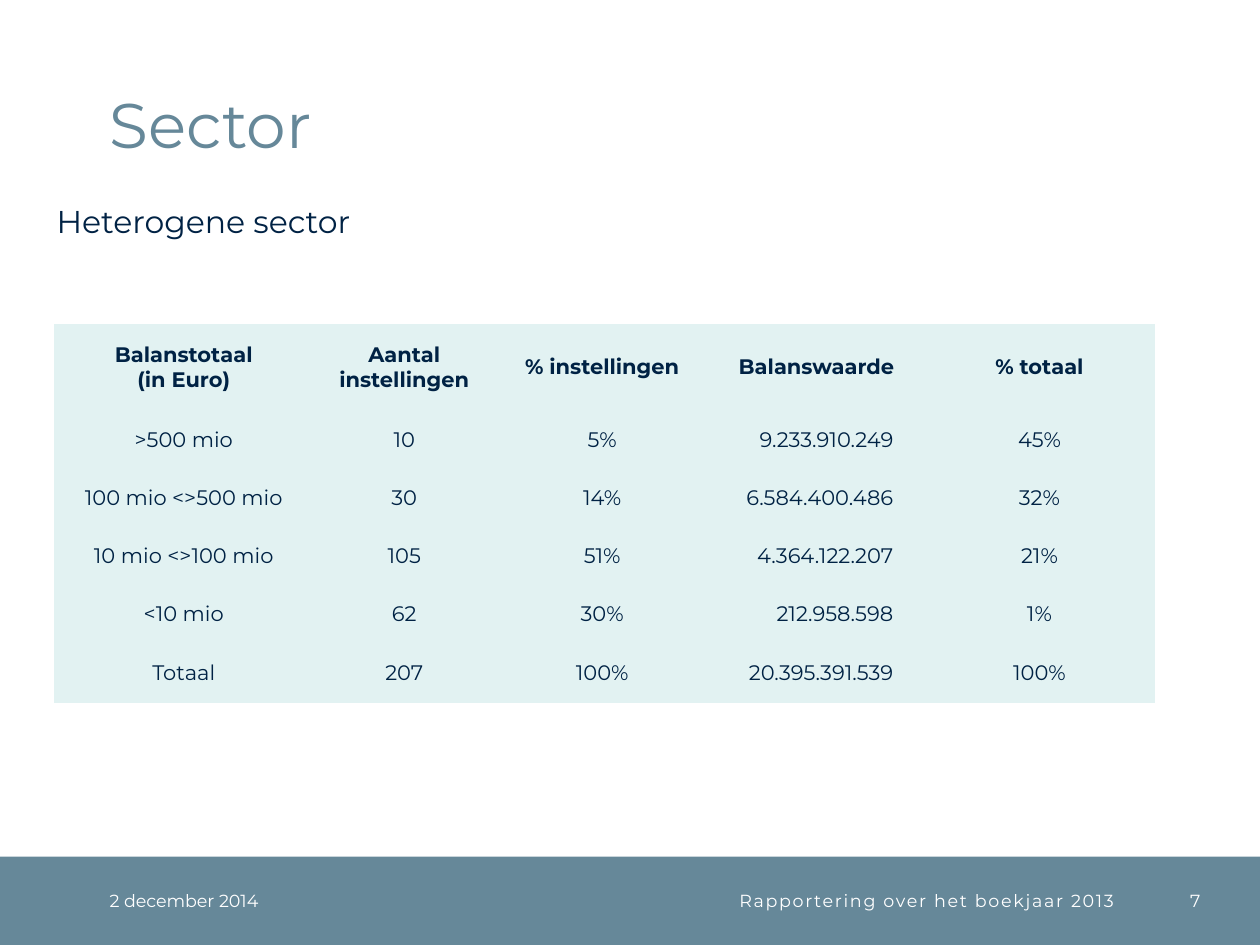
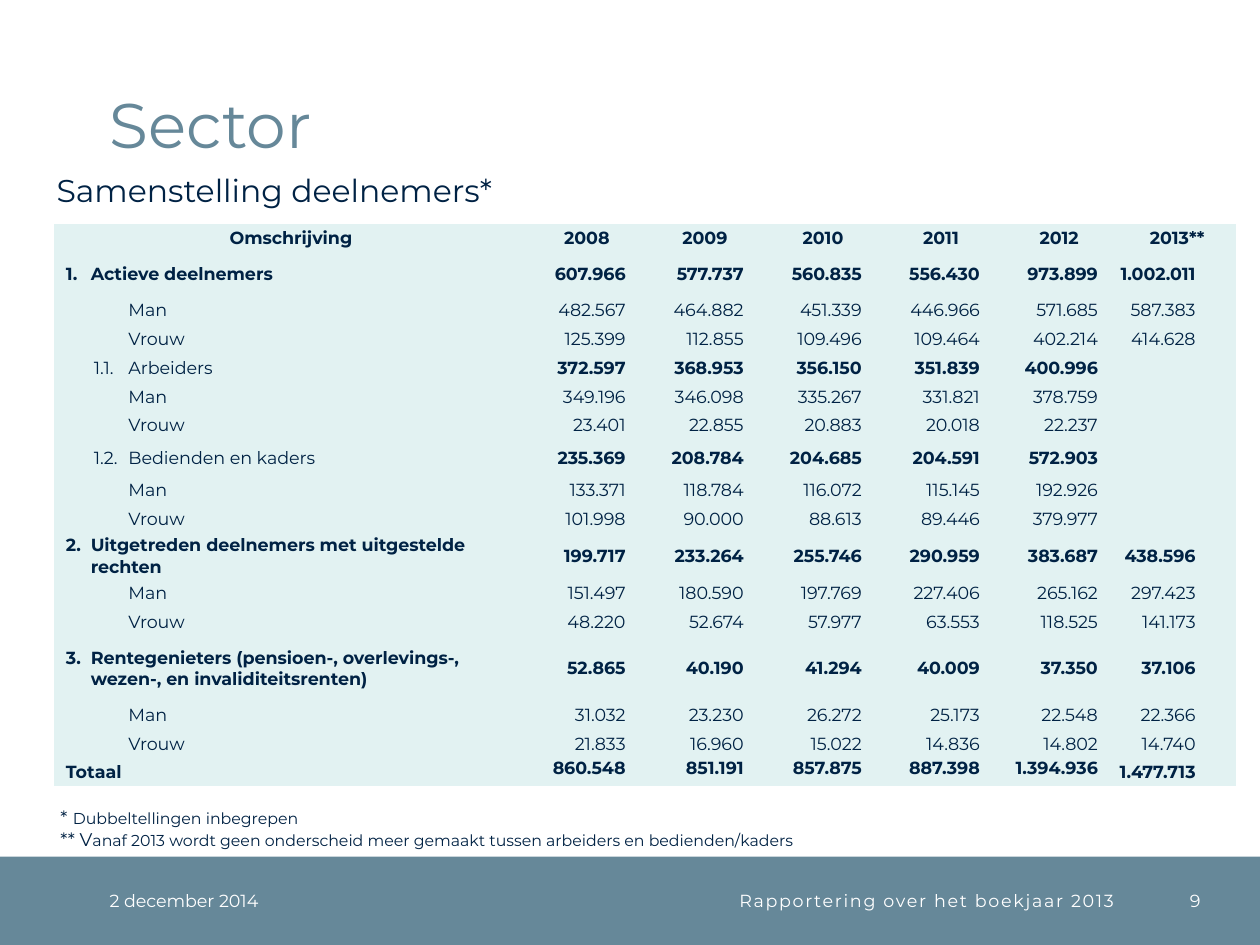
"""Build two sector slides with tables on pension fund figures."""
from dataclasses import dataclass
from typing import NamedTuple

from pptx import Presentation
from pptx.dml.color import RGBColor as Rgb
from pptx.enum.shapes import MSO_SHAPE as Shape
from pptx.enum.text import MSO_ANCHOR as Anchor, PP_ALIGN as Align
from pptx.oxml.ns import qn
from pptx.util import Cm, Pt


@dataclass(frozen=True)
class Theme:
    font: str = "Montserrat"
    slate: Rgb = Rgb(0x66, 0x88, 0x99)
    navy: Rgb = Rgb(0x00, 0x22, 0x44)
    mint: Rgb = Rgb(0xE2, 0xF2, 0xF2)
    white: Rgb = Rgb(0xFF, 0xFF, 0xFF)
    title: float = 36
    head: float = 18
    grid: float = 12
    small: float = 10
    star: float = 10.5
    note: float = 9


THEME = Theme()
NO_STYLE = "{2D5ABB26-0587-4C30-8999-92F81FD0307C}"


class Box(NamedTuple):
    left: float
    top: float
    width: float
    height: float


@dataclass(frozen=True)
class Style:
    size: float
    color: Rgb = THEME.navy
    bold: bool = False
    align: Align = Align.LEFT
    anchor: Anchor = Anchor.MIDDLE
    track: int = 0
    lead: float = 0


@dataclass(frozen=True)
class Cell:
    text: str
    bold: bool = False
    align: Align = Align.CENTER
    right: float = 0
    left: float = 0
    hang: float = 0
    anchor: Anchor = Anchor.MIDDLE


class Row(NamedTuple):
    height: float
    cells: list[Cell]


class Group(NamedTuple):
    label: str
    height: float
    level: int
    total: str
    men: str
    women: str


BAND = Box(0, 17.27, 25.4, 1.78)
DATE = Box(2.21, 17.27, 4.5, 1.78)
FOOT = Box(6.71, 17.27, 15.75, 1.78)
PAGE = Box(22.96, 17.27, 1.24, 1.78)
TITLE = Box(2.21, 0.51, 21.92, 2.74)

SIZES = [
    [">500 mio", "10", "5%", "9.233.910.249", "45%"],
    ["100 mio <>500 mio", "30", "14%", "6.584.400.486", "32%"],
    ["10 mio <>100 mio", "105", "51%", "4.364.122.207", "21%"],
    ["<10 mio", "62", "30%", "212.958.598", "1%"],
    ["Totaal", "207", "100%", "20.395.391.539", "100%"],
]
GROUPS = [
    Group("1.\tActieve deelnemers", 0.89, 1,
          "607.966 577.737 560.835 556.430 973.899 1.002.011",
          "482.567 464.882 451.339 446.966 571.685 587.383",
          "125.399 112.855 109.496 109.464 402.214 414.628"),
    Group("1.1.\tArbeiders", 0.61, 2,
          "372.597 368.953 356.150 351.839 400.996",
          "349.196 346.098 335.267 331.821 378.759",
          "23.401 22.855 20.883 20.018 22.237"),
    Group("1.2.\tBedienden en kaders", 0.74, 2,
          "235.369 208.784 204.685 204.591 572.903",
          "133.371 118.784 116.072 115.145 192.926",
          "101.998 90.000 88.613 89.446 379.977"),
    Group("2.\tUitgetreden deelnemers met uitgestelde rechten", 0.94, 1,
          "199.717 233.264 255.746 290.959 383.687 438.596",
          "151.497 180.590 197.769 227.406 265.162 297.423",
          "48.220 52.674 57.977 63.553 118.525 141.173"),
    Group("3.\tRentegenieters (pensioen-, overlevings-, wezen-, "
          "en invaliditeitsrenten)", 1.32, 1,
          "52.865 40.190 41.294 40.009 37.350 37.106",
          "31.032 23.230 26.272 25.173 22.548 22.366",
          "21.833 16.960 15.022 14.836 14.802 14.740"),
]
TOTAL = "860.548 851.191 857.875 887.398 1.394.936 1.477.713"
YEARS = "2008 2009 2010 2011 2012 2013**"
NOTES = [("*", "\tDubbeltellingen inbegrepen"),
         ("** V", "anaf 2013 wordt geen onderscheid meer gemaakt "
                  "tussen arbeiders en bedienden/kaders")]


def place(box: Box) -> list[Cm]:
    return [Cm(side) for side in box]


def paint(font, size: float, color: Rgb, bold: bool = False) -> None:
    font.name, font.size, font.bold = THEME.font, Pt(size), bold
    font.color.rgb = color


def indent(para, left: float, hang: float) -> None:
    props = para._p.get_or_add_pPr()
    props.set("marL", str(Cm(left)))
    props.set("indent", str(-Cm(hang)))


def frame(slide, box: Box, pad: float = 0, wrap: bool = True):
    text = slide.shapes.add_textbox(*place(box)).text_frame
    text.word_wrap = wrap
    text.margin_left = text.margin_right = Cm(pad)
    text.margin_top = text.margin_bottom = Cm(pad / 2)
    return text


def label(slide, box: Box, words: str, style: Style,
          pad: float = 0, wrap: bool = True) -> None:
    text = frame(slide, box, pad, wrap)
    text.vertical_anchor = style.anchor
    para = text.paragraphs[0]
    para.text, para.alignment = words, style.align
    if style.lead:
        para.line_spacing = Pt(style.lead)
    paint(para.font, style.size, style.color, style.bold)
    if style.track:
        para.runs[0]._r.get_or_add_rPr().set("spc", str(style.track))


def fill_cell(spot, cell: Cell, size: float) -> None:
    spot.fill.solid()
    spot.fill.fore_color.rgb = THEME.mint
    spot.margin_left = spot.margin_top = spot.margin_bottom = 0
    spot.margin_right = Cm(cell.right)
    spot.vertical_anchor = cell.anchor
    spot.text_frame.text = cell.text
    for para in spot.text_frame.paragraphs:
        para.alignment = cell.align
        if cell.left:
            indent(para, cell.left, cell.hang)
        paint(para.font, size, THEME.navy, cell.bold)
        if not cell.text:
            para._p.get_or_add_endParaRPr().set("sz", str(Pt(size).centipoints))


def draw_table(slide, left: float, top: float, widths: list[float],
               rows: list[Row], size: float) -> None:
    box = Box(left, top, sum(widths), sum(row.height for row in rows))
    table = slide.shapes.add_table(len(rows), len(widths), *place(box)).table
    table.first_row = table.horz_banding = False
    table._tbl.tblPr.find(qn("a:tableStyleId")).text = NO_STYLE
    for column, width in zip(table.columns, widths):
        column.width = Cm(width)
    for line, row in zip(table.rows, rows):
        line.height = Cm(row.height)
        for spot, cell in zip(line.cells, row.cells):
            fill_cell(spot, cell, size)


def base(deck, page: int, head: str, top: float):
    slide = deck.slides.add_slide(deck.slide_layouts[6])
    band = slide.shapes.add_shape(Shape.RECTANGLE, *place(BAND))
    band.shadow.inherit = False
    band.fill.solid()
    band.fill.fore_color.rgb = THEME.slate
    band.line.fill.background()
    small, white = THEME.small, THEME.white
    label(slide, DATE, "2 december 2014", Style(small, white))
    label(slide, FOOT, "Rapportering over het boekjaar 2013",
          Style(small, white, align=Align.RIGHT, track=100))
    label(slide, PAGE, str(page), Style(small, white, align=Align.RIGHT))
    label(slide, TITLE, "Sector",
          Style(THEME.title, THEME.slate, anchor=Anchor.BOTTOM, lead=32))
    label(slide, Box(0.89, top, 9.4, 1.02), head,
          Style(THEME.head, anchor=Anchor.TOP), pad=0.25, wrap=False)
    return slide


def size_row(height: float, texts: list[str]) -> Row:
    cells = [Cell(text) for text in texts]
    cells[3] = Cell(texts[3], align=Align.RIGHT, right=0.61)
    return Row(height, cells)


def year_row(first: Cell, figures: str, bold: bool, height: float = 0.57,
             anchor: Anchor = Anchor.MIDDLE) -> Row:
    values = figures.split()
    cells = [Cell(value, bold, Align.RIGHT, 0.41, anchor=anchor)
             for value in values[:5]]
    last = values[5] if len(values) > 5 else ""
    return Row(height, [first, *cells, Cell(last, bold, Align.RIGHT, 0.82)])


def group_rows(group: Group) -> list[Row]:
    main = group.level == 1
    left, hang = (0.74, 0.5) if main else (1.5, 0.7)
    name = Cell(group.label, main, Align.LEFT, left=left, hang=hang)
    rows = [year_row(name, group.total, True, group.height)]
    for sex, figures in (("Man", group.men), ("Vrouw", group.women)):
        part = Cell(sex, align=Align.LEFT, left=1.5)
        rows.append(year_row(part, figures, False))
    return rows


def draw_sizes(deck) -> None:
    slide = base(deck, 7, "Heterogene sector", 3.94)
    heads = ["Balanstotaal\n(in Euro)", "Aantal instellingen",
             "% instellingen", "Balanswaarde", "% totaal"]
    rows = [Row(1.75, [Cell(head, True) for head in heads])]
    rows += [size_row(1.17, texts) for texts in SIZES[:-1]]
    rows.append(size_row(1.22, SIZES[-1]))
    draw_table(slide, 1.09, 6.53, [5.23, 3.66, 4.32, 4.32, 4.67],
               rows, THEME.grid)


def draw_members(deck) -> None:
    slide = base(deck, 9, "Samenstelling deelnemers*", 3.33)
    heads = ["Omschrijving", *YEARS.split()]
    rows = [Row(0.57, [Cell(head, True) for head in heads])]
    for group in GROUPS:
        rows += group_rows(group)
    name = Cell("Totaal", True, Align.LEFT, left=0.74, hang=0.5)
    rows.append(year_row(name, TOTAL, True, anchor=Anchor.TOP))
    draw_table(slide, 1.09, 4.52, [9.55] + [2.38] * 6, rows, THEME.small)
    text = frame(slide, Box(0.97, 16.13, 23.8, 1.14), pad=0.25)
    for spot, (mark, words) in enumerate(NOTES):
        para = text.add_paragraph() if spot else text.paragraphs[0]
        indent(para, 0.25, 0.25)
        for part, size in ((mark, THEME.star), (words, THEME.note)):
            run = para.add_run()
            run.text = part
            paint(run.font, size, THEME.navy)


def main() -> None:
    deck = Presentation()
    deck.slide_width, deck.slide_height = Cm(25.4), Cm(19.05)
    draw_sizes(deck)
    draw_members(deck)
    deck.save("out.pptx")


if __name__ == "__main__":
    main()
